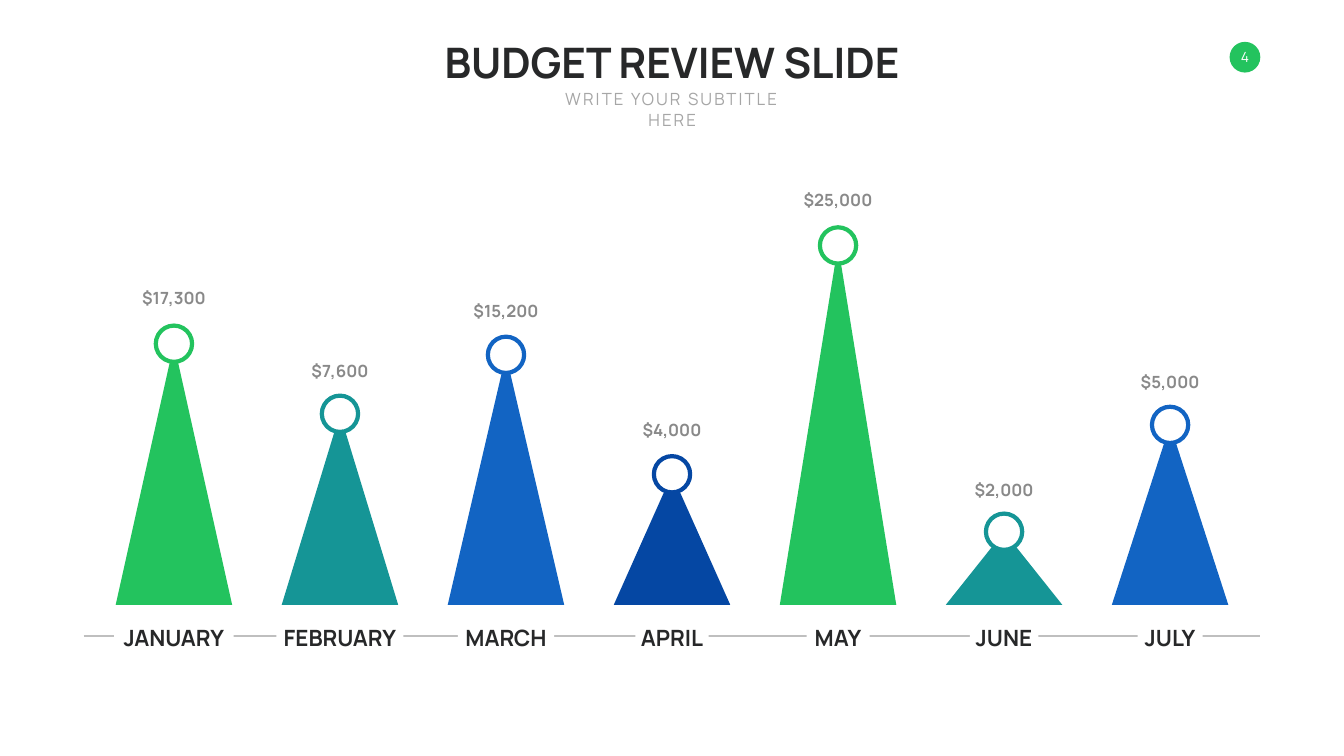
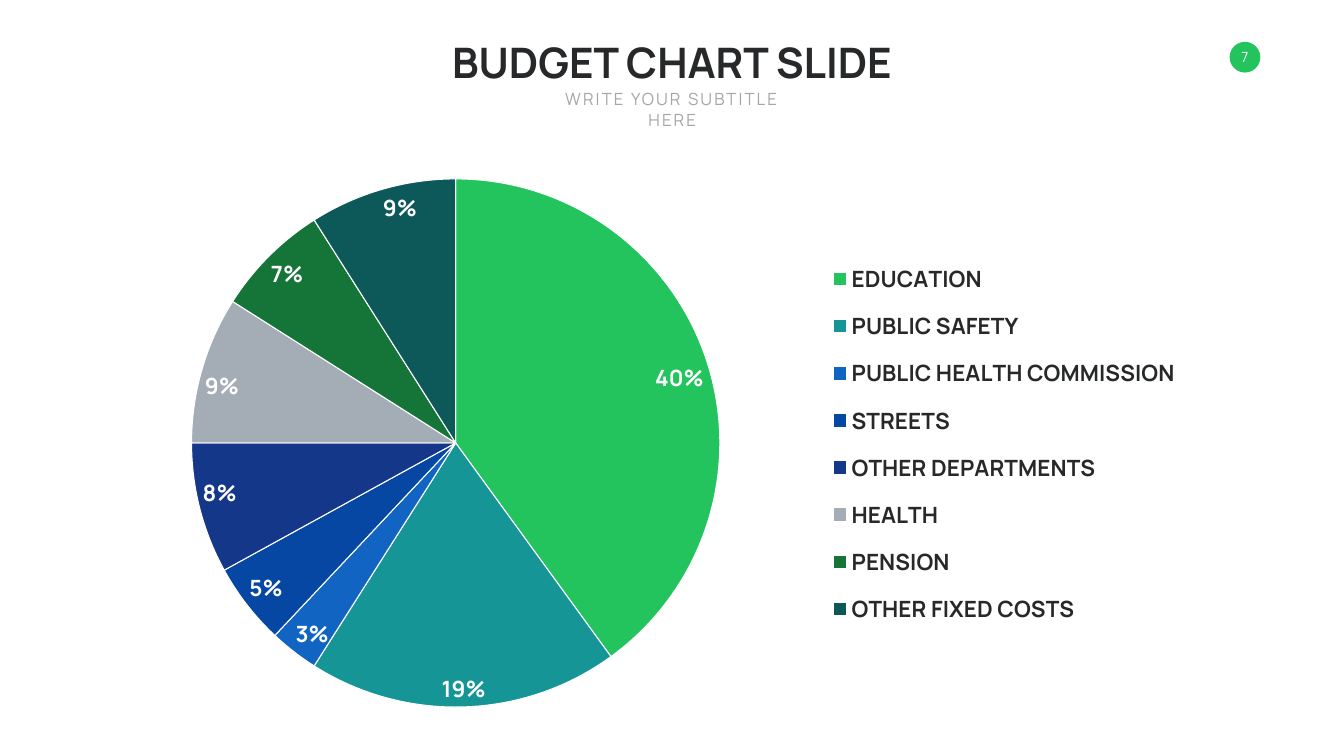
"""Build two budget slides: a monthly peak diagram and a pie chart of spending."""
from lxml import etree
from pptx import Presentation
from pptx.chart.data import CategoryChartData
from pptx.dml.color import RGBColor
from pptx.enum import chart as ch, shapes as sh, text as tx
from pptx.oxml import parse_xml
from pptx.oxml.ns import nsdecls, qn
from pptx.util import Inches, Pt

FONT = "Manrope"
WHITE = RGBColor(0xFF, 0xFF, 0xFF)
INK = RGBColor(0x27, 0x28, 0x29)
GRAY = RGBColor(0x89, 0x89, 0x89)
PALE = RGBColor(0xA6, 0xA6, 0xA6)
RULE = RGBColor(0xBF, 0xBF, 0xBF)
GREEN = RGBColor(0x23, 0xC3, 0x5E)
TEAL = RGBColor(0x15, 0x95, 0x96)
BLUE = RGBColor(0x12, 0x64, 0xC3)
DEEP = RGBColor(0x05, 0x47, 0xA3)
NAVY = RGBColor(0x15, 0x37, 0x89)
STEEL = RGBColor(0xA4, 0xAC, 0xB5)
FOREST = RGBColor(0x15, 0x75, 0x38)
PINE = RGBColor(0x0D, 0x59, 0x5A)

WIDTH, HEIGHT = 26.66, 15
MID = WIDTH / 2


def style(font, size, color, bold=False):
    font.name, font.size, font.bold = FONT, Pt(size), bold
    font.color.rgb = color


def write(shape, words, size, color, bold=False, anchor=tx.MSO_ANCHOR.MIDDLE):
    frame = shape.text_frame
    frame.text = words
    frame.word_wrap = False
    frame.auto_size = tx.MSO_AUTO_SIZE.SHAPE_TO_FIT_TEXT
    frame.vertical_anchor = anchor
    line = frame.paragraphs[0]
    line.alignment = tx.PP_ALIGN.CENTER
    style(line.runs[0].font, size, color, bold)
    return frame


deck = Presentation()
deck.slide_width, deck.slide_height = Inches(WIDTH), Inches(HEIGHT)

pages = []
for title, wide, number in [("BUDGET REVIEW SLIDE", 9.54, "4"), ("BUDGET CHART SLIDE", 9.07, "7")]:
    page = deck.slides.add_slide(deck.slide_layouts[6])
    pages.append(page)

    badge = page.shapes.add_shape(sh.MSO_SHAPE.OVAL, Inches(24.39), Inches(0.83), Inches(0.61), Inches(0.61))
    badge.shadow.inherit = False
    badge.fill.solid()
    badge.fill.fore_color.rgb = GREEN
    badge.line.fill.background()
    frame = write(badge, number, 20, WHITE)
    frame.auto_size = tx.MSO_AUTO_SIZE.NONE
    frame.margin_left = frame.margin_right = frame.margin_top = frame.margin_bottom = 0

    head = page.shapes.add_textbox(Inches(MID - wide / 2), Inches(0.67), Inches(wide), Inches(1.11))
    write(head, title, 60, INK, True, tx.MSO_ANCHOR.TOP)
    sub = page.shapes.add_textbox(Inches(10.62), Inches(1.72), Inches(5.43), Inches(0.5))
    frame = write(sub, "WRITE YOUR SUBTITLE HERE", 24, PALE, False, tx.MSO_ANCHOR.TOP)
    frame.word_wrap = True
    frame.paragraphs[0].runs[0].font._element.set("spc", "300")

review, budget = pages

axis = review.shapes.add_connector(sh.MSO_CONNECTOR.STRAIGHT, Inches(1.66), Inches(12.62), Inches(25), Inches(12.62))
axis.line.color.rgb = RULE
axis.line.width = Pt(3)
etree.SubElement(axis._element.spPr, qn("a:effectLst"))

FLOOR, BASE, RING, FIRST, LAST, PRICE = 12, 2.31, 0.72, 3.45, 23.21, 1.7
months = [
    ("JANUARY", 2.37, "$17,300", 5.66, 6.82, GREEN),
    ("FEBRUARY", 2.52, "$7,600", 7.11, 8.21, TEAL),
    ("MARCH", 1.91, "$15,200", 5.91, 7.04, BLUE),
    ("APRIL", 1.45, "$4,000", 8.27, 9.41, DEEP),
    ("MAY", 1.25, "$25,000", 3.72, 4.87, GREEN),
    ("JUNE", 1.36, "$2,000", 9.46, 10.55, TEAL),
    ("JULY", 1.29, "$5,000", 7.32, 8.43, BLUE),
]
step = (LAST - FIRST) / (len(months) - 1)
for i, (month, wide, cost, top, peak, color) in enumerate(months):
    x = FIRST + i * step
    group = review.shapes.add_group_shape()
    cone = group.shapes.add_shape(
        sh.MSO_SHAPE.ISOSCELES_TRIANGLE, Inches(x - BASE / 2), Inches(peak), Inches(BASE), Inches(FLOOR - peak))
    cone.shadow.inherit = False
    cone.fill.solid()
    cone.fill.fore_color.rgb = color
    cone.line.fill.background()
    ring = group.shapes.add_shape(
        sh.MSO_SHAPE.OVAL, Inches(x - RING / 2), Inches(peak - RING / 2), Inches(RING), Inches(RING))
    ring.shadow.inherit = False
    ring.fill.solid()
    ring.fill.fore_color.rgb = WHITE
    ring.line.color.rgb = color
    ring.line.width = Pt(6)

    tag = review.shapes.add_shape(
        sh.MSO_SHAPE.RECTANGLE, Inches(x - wide / 2), Inches(12.32), Inches(wide), Inches(0.64))
    tag.shadow.inherit = False
    tag.fill.solid()
    tag.fill.fore_color.rgb = WHITE
    tag.line.fill.background()
    write(tag, month, 32, INK, True)
    price = review.shapes.add_textbox(Inches(x - PRICE / 2), Inches(top), Inches(PRICE), Inches(0.5))
    write(price, cost, 24, GRAY, True)

shares = [
    ("EDUCATION", 40, GREEN),
    ("PUBLIC SAFETY", 19, TEAL),
    ("PUBLIC HEALTH COMMISSION", 3, BLUE),
    ("STREETS", 5, DEEP),
    ("OTHER DEPARTMENTS", 8, NAVY),
    ("HEALTH", 9, STEEL),
    ("PENSION", 7, FOREST),
    ("OTHER FIXED COSTS", 9, PINE),
]
data = CategoryChartData()
data.categories = [name for name, _, _ in shares]
data.add_series("Series 1", [value for _, value, _ in shares])
WIDE, TALL = 21.85, 10.75
pie = budget.shapes.add_chart(
    ch.XL_CHART_TYPE.PIE, Inches(1.7), Inches(3.41), Inches(WIDE), Inches(TALL), data).chart
pie.has_title = False
style(pie.font, 32, INK, True)
pie.has_legend = True
pie.legend.position = ch.XL_LEGEND_POSITION.RIGHT
pie.legend.include_in_layout = False
style(pie.legend.font, 32, INK, True)

plot = pie.plots[0]
plot.vary_by_categories = True
for i, (_, _, color) in enumerate(shares):
    wedge = plot.series[0].points[i].format
    wedge.fill.solid()
    wedge.fill.fore_color.rgb = color
    wedge.line.color.rgb = WHITE
    wedge.line.width = Pt(1.5)
plot.has_data_labels = True
labels = plot.data_labels
labels.show_percentage = True
labels.show_value = False
labels.number_format = "0%"
labels.number_format_is_linked = False
labels.position = ch.XL_LABEL_POSITION.INSIDE_END
style(labels.font, 32, WHITE, True)

area = pie._chartSpace.chart.plotArea
key = pie.legend._element
for part, inner, spot in [(area, True, (2.1, 0.14, 10.48, 10.48)), (key, False, (14.62, 1.5, 7.2, 7.8))]:
    for old in part.findall(qn("c:layout")):
        part.remove(old)
    target = '<c:layoutTarget val="inner"/>' if inner else ""
    modes = '<c:xMode val="edge"/><c:yMode val="edge"/>'
    sizes = "".join(
        f'<c:{side} val="{value / whole:.4f}"/>' for side, value, whole in zip("xywh", spot, (WIDE, TALL) * 2))
    layout = parse_xml(
        f'<c:layout {nsdecls("c")}><c:manualLayout>{target}{modes}{sizes}</c:manualLayout></c:layout>')
    if inner:
        part.insert(0, layout)
    else:
        part.find(qn("c:legendPos")).addnext(layout)

deck.save("out.pptx")
